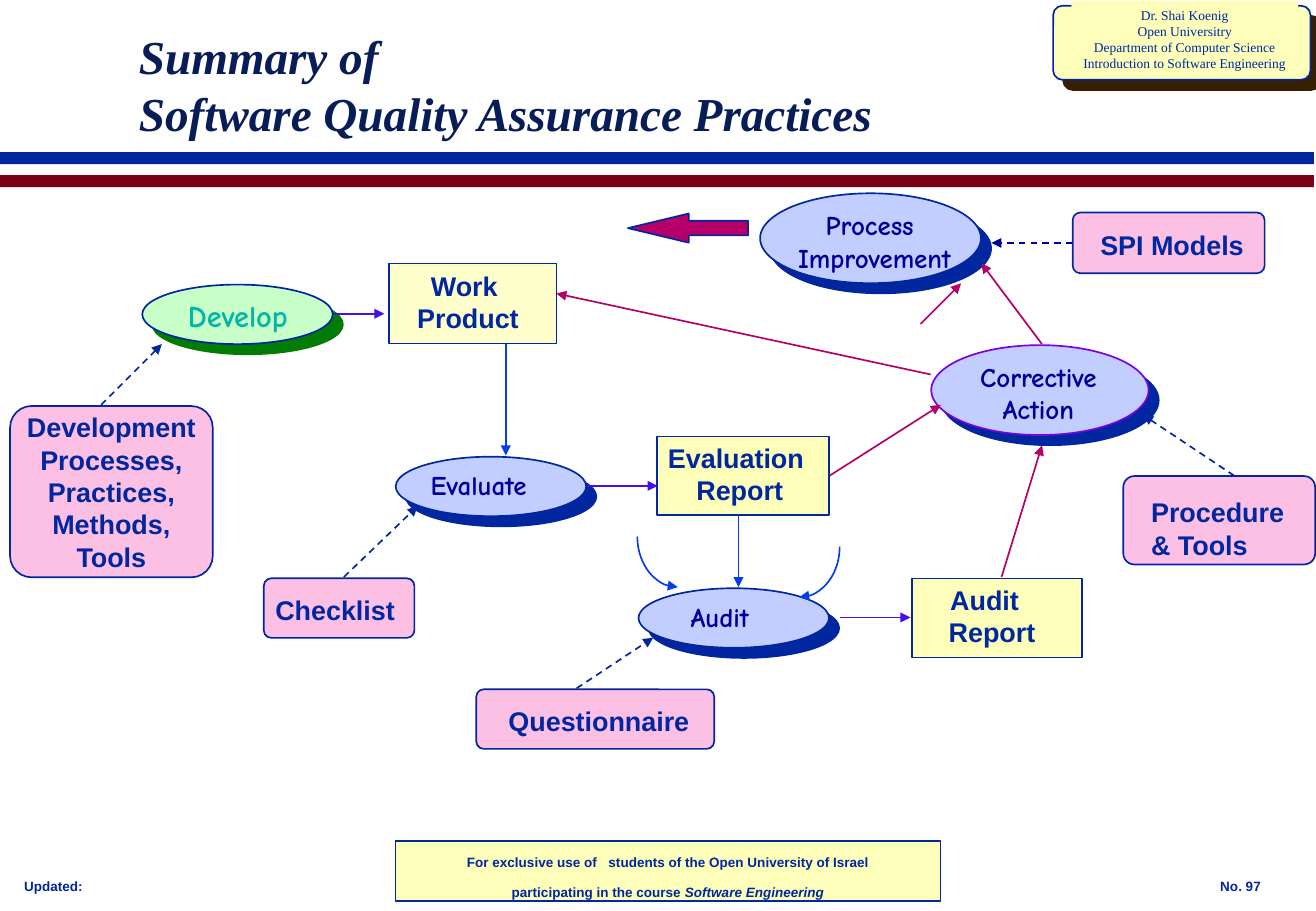
"""Build the summary slide of software quality assurance practices."""
import pptx
import pptx.dml.color
import pptx.enum.dml
import pptx.enum.shapes
import pptx.enum.text
import pptx.oxml
import pptx.oxml.ns
import pptx.util

Pt = pptx.util.Pt
SHAPE = pptx.enum.shapes.MSO_SHAPE
ALIGN = pptx.enum.text.PP_ALIGN
ANCHOR = pptx.enum.text.MSO_ANCHOR
AUTO_SIZE = pptx.enum.text.MSO_AUTO_SIZE

COLORS = {
    "navy": "00279F", "title": "081D58", "maroon": "790015", "yellow": "FCFEB9",
    "cream": "FFFFCC", "brown": "372000", "lilac": "C1CEFF", "mint": "C8FEC8",
    "green": "037C03", "pink": "FDC0E5", "blue": "063DE8", "violet": "4210ED",
    "purple": "7B00E4", "magenta": "B50069", "ink": "000099", "teal": "00B7A5",
}

TITLE = "Summary of \vSoftware Quality Assurance Practices"
COURSE = ["Dr. Shai Koenig", "Open Universitry", "Department of Computer Science",
          "Introduction to Software Engineering"]
USAGE = [
    [("For exclusive use of", {}), (" ", {"size": 24}),
     ("students of the Open University of Israel", {})],
    [("participating in the course ", {}), ("Software Engineering", {"italic": True})],
]
DEVELOPMENT = ["Development", "Processes,", "Practices,", "Methods,", "Tools"]

BARS = [(90.2, "navy"), (103.8, "maroon")]

ACTIVITIES = [
    ((450.8, 114.6, 131, 53.3), "lilac", "navy", "navy"),
    ((84.4, 168.7, 113, 35.3), "mint", "navy", "green"),
    ((234.7, 270.7, 113, 35.3), "lilac", "navy", "navy"),
    ((378.7, 348.7, 113, 35.3), "lilac", "navy", "navy"),
    ((552.3, 204.6, 128.9, 53.3), "lilac", "purple", "navy"),
]
PRODUCTS = [
    ((230.6, 156.2, 99.4, 47.5), "cream"),
    ((389.6, 258.7, 102.2, 46.8), "yellow"),
    ((541, 342.9, 100.8, 46.8), "yellow"),
]
AIDS = [
    (156.5, 342.8, 89.3, 35.3),
    (282.5, 408.6, 141.1, 35.3),
    (666.2, 282.2, 113.8, 52.4),
    (636.2, 126, 113.8, 36),
]

ACTIVITY_FONT = {"font": "Comic Neue", "color": "ink", "wrap": False}
CENTERED = {"align": ALIGN.CENTER}
LABELS = [
    (["Process ", "Improvement"], (465.8, 120.4, 105.8, 45.4), ACTIVITY_FONT | CENTERED),
    (["Develop"], (104.4, 172.8, 73.4, 28.8), ACTIVITY_FONT | {"size": 18, "color": "teal"}),
    (["Evaluate"], (248.4, 274.3, 72, 25.9), ACTIVITY_FONT),
    (["Audit"], (402.5, 352.3, 49, 25.9), ACTIVITY_FONT),
    (["Corrective", "Action"], (573.8, 210.2, 84.2, 45.4), ACTIVITY_FONT | CENTERED),
    (["Work ", "Product"], (231.1, 156.2, 92.9, 45.4), CENTERED),
    (["Evaluation ", "Report"], (385.4, 258.2, 106.6, 45.4), CENTERED),
    (["Audit  ", "Report"], (534.4, 342.2, 108, 45.4), CENTERED),
    (["Checklist"], (156.2, 348.2, 87, 25.9), {"wrap": False}),
    (["Questionnaire"], (294.5, 414.3, 123, 25.9), {"wrap": False}),
    (["Procedure", "& Tools"], (675.6, 290.4, 104.4, 45.4), {}),
    (["SPI Models"], (645.5, 131.8, 104.4, 25.9), {}),
    (["Updated:"], (7.2, 517.2, 82.8, 16.6), {"size": 8, "wrap": False}),
    (["No. 97"], (716.6, 517.2, 68.4, 16.6), {"size": 8, "wrap": False}),
    (USAGE, (234.2, 486.5, 324, 51.1), CENTERED | {"size": 8, "space_before": 5}),
]

ARROWS = [
    ((342, 408), (387.4, 378), "navy", True),
    ((60, 240), (96, 204), "navy", True),
    ((204, 342), (247.7, 300), "navy", True),
    ((732, 282), (678, 246), "navy", True),
    ((636, 144), (588, 144), "ink", True),
    ((438, 306), (438, 348), "blue", False),
    ((300, 204), (300, 270), "blue", False),
    ((198, 186), (228, 186), "violet", False),
    ((498, 366), (540, 366), "violet", False),
    ((348, 288), (390, 288), "violet", False),
    ((492, 282), (558, 240), "magenta", False),
    ((552, 222), (330, 174), "magenta", False),
    ((594, 342), (618, 264), "magenta", False),
    ((618, 204), (582, 156), "magenta", False),
    ((546, 192), (570, 168), "magenta", False),
]
AUDIT_ARCS = [
    ((378, 288, 48, 60), (90, 180), "headEnd"),
    ((450, 294, 48, 60), (0, 90), "tailEnd"),
]


def rgb(name):
    return pptx.dml.color.RGBColor.from_string(COLORS[name])


def write_text(shape, lines, size=16, font="Arial", color="navy", bold=True, italic=False,
               align=ALIGN.LEFT, wrap=True, space_before=0, anchor=ANCHOR.TOP,
               auto_size=AUTO_SIZE.SHAPE_TO_FIT_TEXT):
    frame = shape.text_frame
    frame.word_wrap = wrap
    frame.auto_size = auto_size
    frame.vertical_anchor = anchor
    for index, line in enumerate(lines):
        paragraph = frame.paragraphs[0] if index == 0 else frame.add_paragraph()
        paragraph.alignment = align
        if index:
            paragraph.space_before = Pt(space_before)
        for text, changes in [(line, {})] if isinstance(line, str) else line:
            run = paragraph.add_run()
            run.text = text
            run.font.name = font
            run.font.size = Pt(changes.get("size", size))
            run.font.bold = bold
            run.font.italic = changes.get("italic", italic)
            run.font.color.rgb = rgb(color)


def add_box(slide, kind, box, fill=None, line=None, shadow=None, adjustments=()):
    shape = slide.shapes.add_shape(kind, *map(Pt, box))
    shape.shadow.inherit = False
    for index, value in enumerate(adjustments):
        shape.adjustments[index] = value
    if fill:
        shape.fill.solid()
        shape.fill.fore_color.rgb = rgb(fill)
    else:
        shape.fill.background()
    if line:
        shape.line.color.rgb = rgb(line)
        shape.line.width = Pt(1)
    else:
        shape.line.fill.background()
    if shadow:
        effects = shape._element.spPr.find(pptx.oxml.ns.qn("a:effectLst"))
        effects.append(pptx.oxml.parse_xml(
            f'<a:outerShdw {pptx.oxml.ns.nsdecls("a")} dist="{Pt(8.5)}" dir="2700000" '
            f'algn="ctr" rotWithShape="0"><a:srgbClr val="{COLORS[shadow]}"/></a:outerShdw>'))
    return shape


def add_arrowhead(shape, end):
    shape.line._get_or_add_ln().append(pptx.oxml.parse_xml(
        f'<a:{end} {pptx.oxml.ns.nsdecls("a")} type="triangle"/>'))


def add_arrow(slide, start, finish, color, dashed):
    arrow = slide.shapes.add_connector(
        pptx.enum.shapes.MSO_CONNECTOR.STRAIGHT, *map(Pt, start + finish))
    arrow.line.color.rgb = rgb(color)
    arrow.line.width = Pt(1)
    if dashed:
        arrow.line.dash_style = pptx.enum.dml.MSO_LINE.DASH
    add_arrowhead(arrow, "tailEnd")
    arrow._element.spPr.append(pptx.oxml.parse_xml(
        f'<a:effectLst {pptx.oxml.ns.nsdecls("a")}/>'))


def add_title(slide):
    title = slide.shapes.title
    title.left, title.top, title.width, title.height = map(Pt, (78, 23, 516.2, 54))
    frame = title.text_frame
    frame.text = TITLE
    frame.margin_left = frame.margin_right = Pt(4.3)
    frame.margin_top = frame.margin_bottom = Pt(2.2)
    frame.vertical_anchor = ANCHOR.MIDDLE
    frame.auto_size = AUTO_SIZE.NONE
    paragraph = frame.paragraphs[0]
    paragraph.alignment = ALIGN.LEFT
    for run in paragraph.runs:
        run.font.name, run.font.size = "Times New Roman", Pt(28)
        run.font.bold = run.font.italic = True
        run.font.color.rgb = rgb("title")


def main():
    presentation = pptx.Presentation()
    presentation.slide_width = Pt(780.48)
    presentation.slide_height = Pt(540)
    slide = presentation.slides.add_slide(presentation.slide_layouts[5])
    add_title(slide)

    add_box(slide, SHAPE.RECTANGLE, (234.5, 498.6, 323.3, 35.3), "yellow", "navy")
    for top, color in BARS:
        add_box(slide, SHAPE.RECTANGLE, (0, top, 779.3, 7.2), color)
    add_box(slide, SHAPE.ROUNDED_RECTANGLE, (624.6, 3.4, 152.6, 43.9), "yellow", "navy",
            "brown", [0.125])
    course = add_box(slide, SHAPE.RECTANGLE, (635.4, 0.5, 134.6, 45.4), "yellow")
    write_text(course, COURSE, size=8, font="Times New Roman", bold=False,
               align=ALIGN.CENTER, wrap=False)

    for box, fill, line, shadow in ACTIVITIES:
        add_box(slide, SHAPE.OVAL, box, fill, line, shadow)
    for box, fill in PRODUCTS:
        add_box(slide, SHAPE.RECTANGLE, box, fill, "navy")
    for box in AIDS:
        add_box(slide, SHAPE.ROUNDED_RECTANGLE, box, "pink", "navy", adjustments=[0.125])
    development = add_box(slide, SHAPE.ROUNDED_RECTANGLE, (6, 240.7, 120.2, 101.5),
                          "pink", "navy", adjustments=[0.125])
    write_text(development, DEVELOPMENT, align=ALIGN.CENTER, wrap=False,
               anchor=ANCHOR.MIDDLE, auto_size=AUTO_SIZE.NONE)
    add_box(slide, SHAPE.LEFT_ARROW, (372.4, 126.6, 71.3, 17.3), "magenta", "navy",
            adjustments=[0.5, 2.09])

    for arrow in ARROWS:
        add_arrow(slide, *arrow)
    for box, angles, end in AUDIT_ARCS:
        arc = add_box(slide, SHAPE.ARC, box, line="blue",
                      adjustments=[angle * 0.6 for angle in angles])
        add_arrowhead(arc, end)
    for lines, box, style in LABELS:
        write_text(slide.shapes.add_textbox(*map(Pt, box)), lines, **style)

    presentation.save("out.pptx")


if __name__ == "__main__":
    main()
